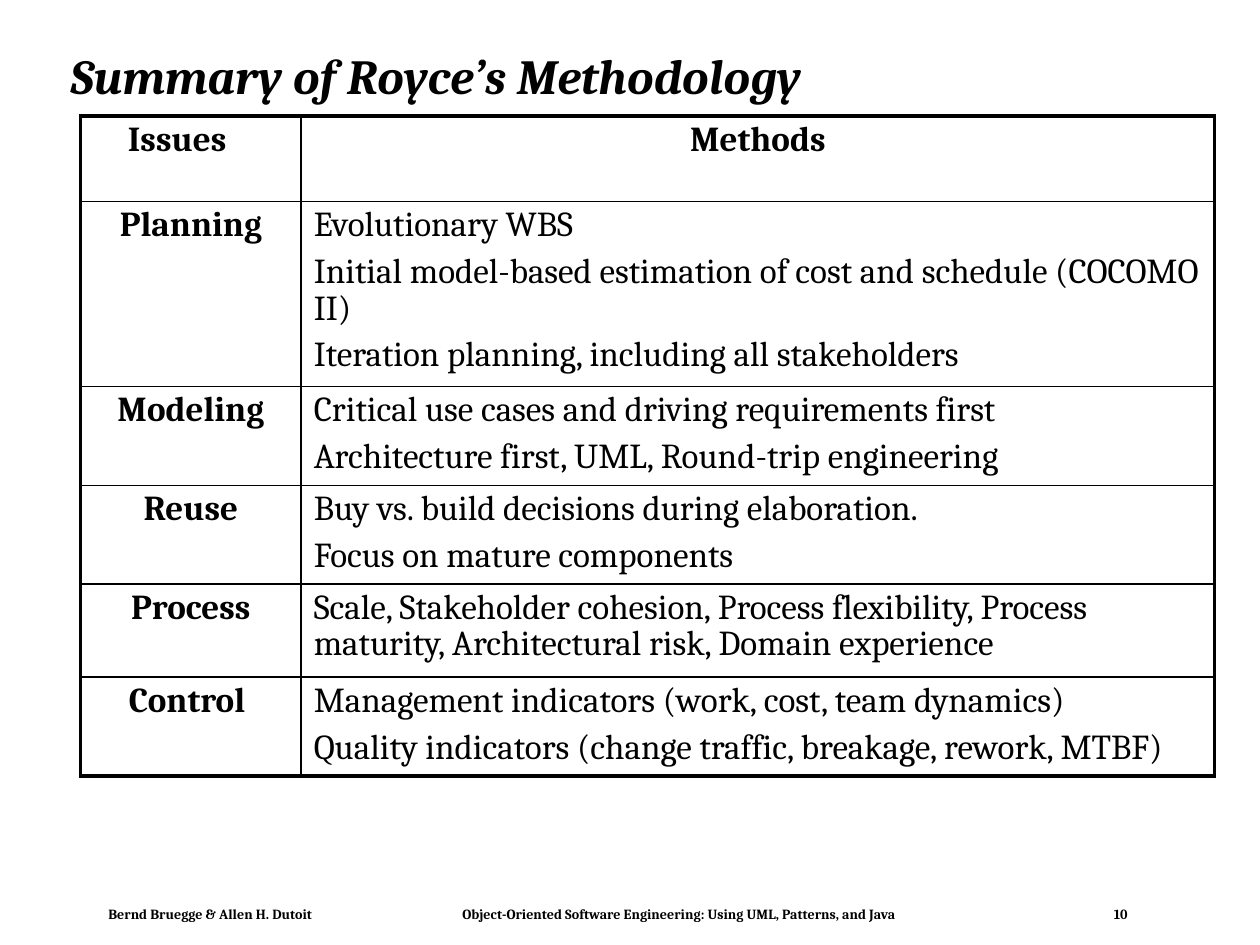
from dataclasses import dataclass

import pptx
import pptx.util
import pptx.dml.color
import pptx.enum.text
import pptx.oxml.ns
from lxml import etree
from pptx.util import Inches


@dataclass(frozen=True)
class Theme:
    font: str = "Cambria"
    ink: str = "000000"
    title: int = 28
    body: int = 20
    footer: int = 8
    thin: float = 1
    thick: float = 2.25


theme = Theme()
ALIGN = pptx.enum.text.PP_ALIGN
ANCHOR = pptx.enum.text.MSO_ANCHOR


def add_run(p, text, size, bold=True, italic=False):
    r = p.add_run()
    r.text = text
    r.font.name = theme.font
    r.font.size = pptx.util.Pt(size)
    r.font.bold = bold
    r.font.italic = italic
    r.font.color.rgb = pptx.dml.color.RGBColor.from_string(theme.ink)


def add_border(cell, side, width):
    """Draw one side (L, R, T or B) of a cell, width in points."""
    tag = pptx.oxml.ns.qn
    ln = etree.SubElement(cell._tc.get_or_add_tcPr(), tag(f"a:ln{side}"),
                          w=str(int(pptx.util.Pt(width))))
    fill = etree.SubElement(ln, tag("a:solidFill"))
    etree.SubElement(fill, tag("a:srgbClr"), val=theme.ink)


prs = pptx.Presentation()
prs.slide_width, prs.slide_height = Inches(10), Inches(7.5)
s = prs.slides.add_slide(prs.slide_layouts[6])

# Footer: three parts on one line, set apart by tab stops
footer = ["Bernd Bruegge & Allen H. Dutoit",
          "Object-Oriented Software Engineering: Using UML, Patterns, and Java",
          "10"]
footer_stops = [2.81, 7.98]
sp = s.shapes.add_textbox(Inches(0.78), Inches(7.15), Inches(8.27), Inches(0.21))
tf = sp.text_frame
tf.word_wrap = True
tf.margin_left = tf.margin_right = Inches(0.08)
tf.margin_top = tf.margin_bottom = Inches(0.04)
p = tf.paragraphs[0]
tabs = etree.SubElement(p._p.get_or_add_pPr(), pptx.oxml.ns.qn("a:tabLst"))
for stop in footer_stops:
    etree.SubElement(tabs, pptx.oxml.ns.qn("a:tab"), pos=str(int(Inches(stop))), algn="l")
add_run(p, "\t".join(footer), theme.footer)

# Title
sp = s.shapes.add_textbox(Inches(0.46), Inches(0.24), Inches(8.92), Inches(0.77))
tf = sp.text_frame
tf.word_wrap = True
tf.vertical_anchor = ANCHOR.MIDDLE
p = tf.paragraphs[0]
p.line_spacing = 0.9
add_run(p, "Summary of Royce’s Methodology", theme.title, italic=True)

# Table: row height, issue, methods
rows = [
    (0.68, "Issues\t", ["Methods"]),
    (1.42, "Planning", ["Evolutionary WBS",
                        "Initial model-based estimation of cost and schedule (COCOMO II)",
                        "Iteration planning, including all stakeholders"]),
    (0.76, "Modeling", ["Critical use cases and driving requirements first",
                        "Architecture first, UML, Round-trip engineering"]),
    (0.76, "Reuse", ["Buy vs. build decisions during elaboration.",
                     "Focus on mature components"]),
    (0.74, "Process", ["Scale, Stakeholder cohesion, Process flexibility, Process maturity, "
                       "Architectural risk, Domain experience"]),
    (0.76, "Control ", ["Management indicators (work, cost, team dynamics)",
                        "Quality indicators (change traffic, breakage, rework, MTBF)"]),
]
col_widths = [1.75, 7.25]
last = len(rows) - 1
table = s.shapes.add_table(len(rows), len(col_widths), Inches(0.64), Inches(0.92),
                           Inches(sum(col_widths)),
                           Inches(sum(row[0] for row in rows))).table
table.first_row = table.horz_banding = False
for column, width in zip(table.columns, col_widths):
    column.width = Inches(width)

for i, (height, issue, methods) in enumerate(rows):
    table.rows[i].height = Inches(height)
    for j, lines in enumerate([[issue], methods]):
        cell = table.cell(i, j)
        outer = {"L": j == 0, "R": j == 1, "T": i == 0, "B": i == last}
        for side, is_outer in outer.items():
            add_border(cell, side, theme.thick if is_outer else theme.thin)
        cell.fill.background()
        heading = i == 0 or j == 0
        tf = cell.text_frame
        for k, line in enumerate(lines):
            p = tf.add_paragraph() if k else tf.paragraphs[0]
            p.alignment = ALIGN.CENTER if heading else ALIGN.LEFT
            p.line_spacing = 0.9
            p.space_before = pptx.util.Pt(6)
            add_run(p, line, theme.body, bold=heading)

prs.save("out.pptx")
